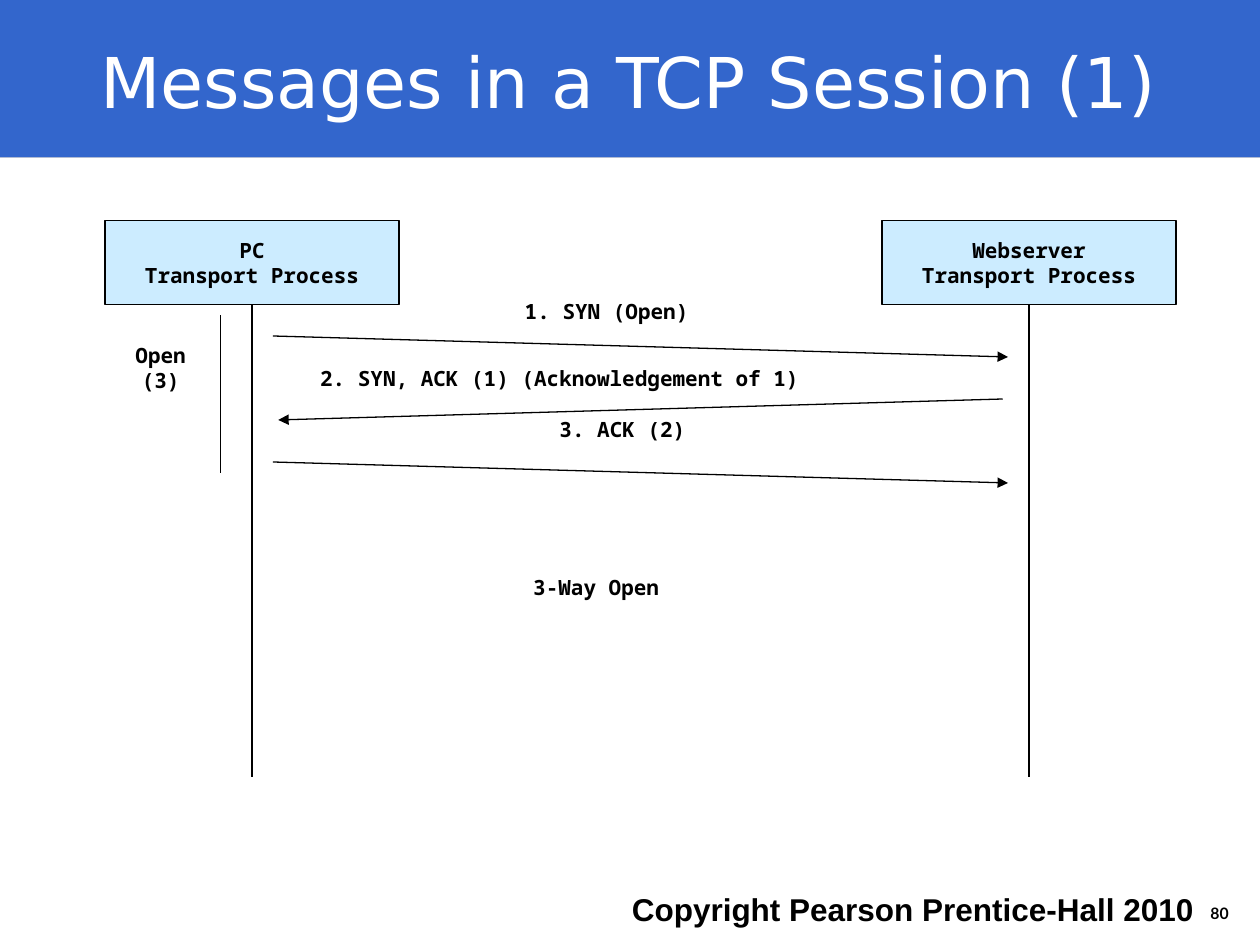
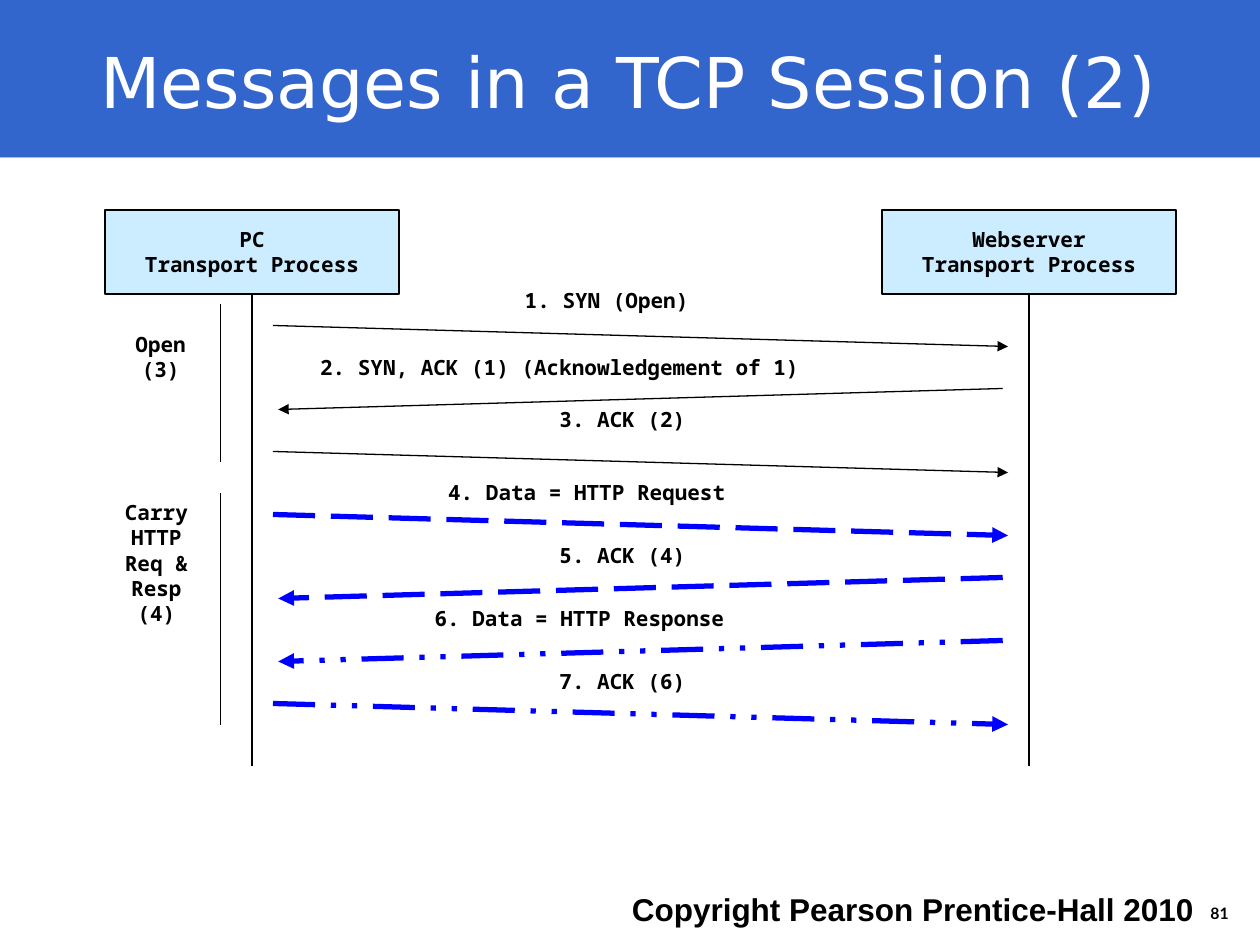
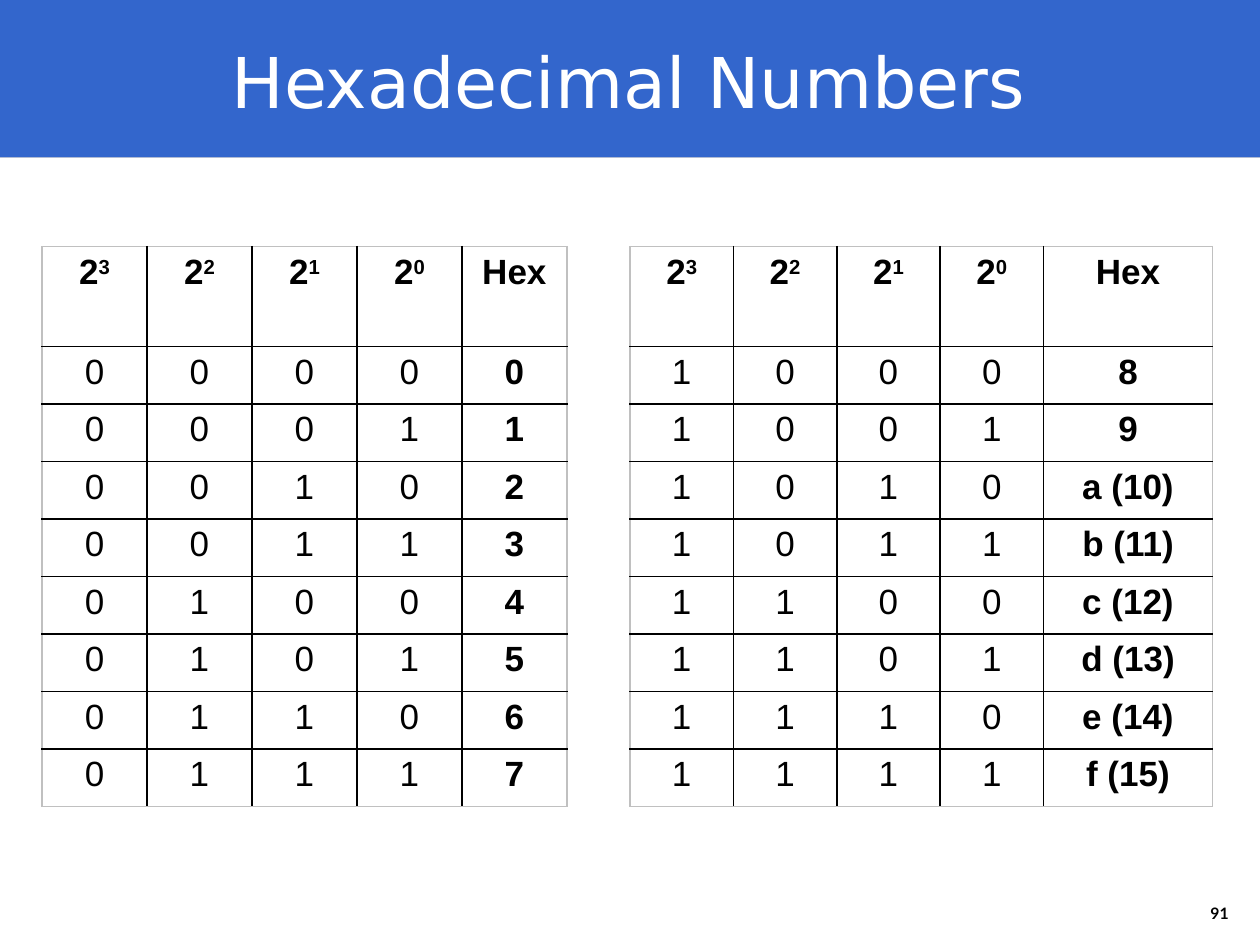
import dataclasses

import lxml.etree
import pptx
import pptx.dml.color
import pptx.enum.dml
import pptx.enum.shapes
import pptx.enum.text
import pptx.oxml.ns
import pptx.util

ALIGN = pptx.enum.text.PP_ALIGN
ANCHOR = pptx.enum.text.MSO_ANCHOR
DASH = pptx.enum.dml.MSO_LINE
RECT = pptx.enum.shapes.MSO_SHAPE.RECTANGLE
STRAIGHT = pptx.enum.shapes.MSO_CONNECTOR.STRAIGHT

COLS, ROWS = 120, 90  # a square grid over the whole slide
LEFT, RIGHT = 24, 98  # columns of the two lifelines
STEP = 6  # rows from one message to the next


@dataclasses.dataclass(frozen=True)
class Face:
    font: str
    size: float
    color: str = "000000"
    bold: bool = False


@dataclasses.dataclass(frozen=True)
class Theme:
    back: str = "B2B2B2"
    band: str = "3366CC"
    page: str = "FFFFFF"
    box: str = "CCECFF"
    ink: str = "000000"
    data: str = "0000FF"
    edge: str = "C0C0C0"
    thin: float = 0.75
    rule: float = 1
    thick: float = 3
    title: Face = Face("DejaVu Sans", 40, "FFFFFF")
    label: Face = Face("Noto Sans Mono", 12, bold=True)
    cell: Face = Face("Arial", 20)
    head: Face = Face("Arial", 20, bold=True)
    foot: Face = Face("Arial", 18, bold=True)
    number: Face = Face("Lato", 9, bold=True)


THEME = Theme()


@dataclasses.dataclass(frozen=True)
class Message:
    """An arrow and its label; col, row and width place the label."""
    text: str
    col: float
    row: float
    width: float
    back: bool = False
    dash: object = None


OPENING = [
    Message("1. SYN (Open)", 48.8, 6.8, 24.2),
    Message("2. SYN, ACK (1) (Acknowledgement of 1)", 29.3, 13.2, 63.5, back=True),
    Message("3. ACK (2)", 52.1, 18.1, 18),
]
CARRY = [
    Message("4. Data = HTTP Request", 41.5, 25.1, 39, dash=DASH.LONG_DASH),
    Message("5. ACK (4)", 52.1, 31.1, 18, True, DASH.LONG_DASH),
    Message("6. Data = HTTP Response", 40.2, 37.1, 41.6, True, DASH.DASH_DOT_DOT),
    Message("7. ACK (6)", 52.1, 43.1, 18, dash=DASH.DASH_DOT_DOT),
]


def grid(*cells):
    """Lengths for grid cells, which are a twelfth of an inch."""
    return [pptx.util.Inches(10 * cell / COLS) for cell in cells]


def rgb(color):
    return pptx.dml.color.RGBColor.from_string(color)


def child(parent, tag, **attrs):
    return lxml.etree.SubElement(parent, pptx.oxml.ns.qn(tag), attrs)


def add_run(para, text, face, base=0):
    run = para.add_run()
    run.text = text
    font = run.font
    font.name, font.size, font.bold = face.font, pptx.util.Pt(face.size), face.bold
    font.color.rgb = rgb(face.color)
    if base:
        run._r.get_or_add_rPr().set("baseline", str(base))


def write(frame, lines, face, align=ALIGN.LEFT, anchor=ANCHOR.TOP):
    frame.word_wrap = True
    frame.auto_size = pptx.enum.text.MSO_AUTO_SIZE.NONE
    frame.vertical_anchor = anchor
    for index, line in enumerate(lines):
        para = frame.add_paragraph() if index else frame.paragraphs[0]
        para.alignment = align
        add_run(para, line, face)


def add_text(slide, place, lines, face, **style):
    write(slide.shapes.add_textbox(*grid(*place)).text_frame, lines, face, **style)


def add_rect(slide, place, fill):
    shape = slide.shapes.add_shape(RECT, *grid(*place))
    shape.shadow.inherit = False
    shape.fill.solid()
    shape.fill.fore_color.rgb = rgb(fill)
    shape.line.fill.background()
    return shape


def add_line(slide, start, end, color=THEME.ink, width=THEME.thin, dash=None, arrow=False):
    joint = slide.shapes.add_connector(STRAIGHT, *grid(*start, *end))
    joint.line.color.rgb = rgb(color)
    joint.line.width = pptx.util.Pt(width)
    if dash:
        joint.line.dash_style = dash
    if arrow:
        child(joint.line._get_or_add_ln(), "a:tailEnd", type="triangle")
    child(joint.element.spPr, "a:effectLst")


def set_master(deck, slide):
    """Draw the bands, then move them to the back of the master."""
    master = deck.slide_master
    master.background.fill.solid()
    master.background.fill.fore_color.rgb = rgb(THEME.back)
    bands = [((0, 0, COLS, 15), THEME.band), ((0, 15, COLS, ROWS - 15), THEME.page)]
    for index, (place, fill) in enumerate(bands):
        band = add_rect(slide, place, fill)
        band.element.nvSpPr.cNvPr.id = 100 + index
        master.shapes.element.insert(2 + index, band.element)


def add_slide(deck, title, number, credit=True):
    slide = deck.slides.add_slide(deck.slide_layouts[5])
    head = slide.shapes.title
    head.left, head.top, head.width, head.height = grid(4.1, 0.7, 111.5, 14)
    write(head.text_frame, [title], THEME.title, ALIGN.CENTER, ANCHOR.MIDDLE)
    add_text(slide, (104.8, 84.8, 13.4, 3.7), [number], THEME.number,
             align=ALIGN.RIGHT, anchor=ANCHOR.BOTTOM)
    if credit:
        add_text(slide, (59, 84.2, 57, 4.8), ["Copyright Pearson Prentice-Hall 2010"], THEME.foot)
    return slide


def add_host(slide, col, top, name):
    """A lifeline with its process box on top."""
    add_line(slide, (col, top + 3), (col, top + 53))
    box = add_rect(slide, (col - 14, top, 28, 8), THEME.box)
    box.line.color.rgb = rgb(THEME.ink)
    box.line.width = pptx.util.Pt(THEME.thin)
    write(box.text_frame, [name, "Transport Process"], THEME.label, ALIGN.CENTER, ANCHOR.MIDDLE)


def add_message(slide, row, top, item):
    ends = (RIGHT - 2.5, LEFT + 2.5) if item.back else (LEFT + 2, RIGHT - 2)
    color, width = (THEME.data, THEME.thick) if item.dash else (THEME.ink, THEME.thin)
    add_line(slide, (ends[0], row), (ends[1], row + 2), color, width, item.dash, arrow=True)
    add_text(slide, (item.col, top + item.row, item.width, 5.2), [item.text], THEME.label)


def add_phase(slide, start, end, place, lines):
    """A bar beside the left lifeline, with its caption."""
    add_line(slide, (LEFT - 3, start), (LEFT - 3, end))
    add_text(slide, place, lines, THEME.label, align=ALIGN.CENTER)


def add_session(slide, top, items):
    add_host(slide, LEFT, top, "PC")
    add_host(slide, RIGHT, top, "Webserver")
    for index, item in enumerate(items):
        add_message(slide, top + 11 + STEP * index, top, item)
    add_phase(slide, top + 9, top + 24, (10.2, top + 11, 10.2, 8.5), ["Open", "(3)"])


def set_borders(cell, outer):
    """Rule a cell; sides named in outer lie on the table's rim."""
    props = cell._tc.get_or_add_tcPr()
    for side in "LRTB":
        line = child(props, "a:ln" + side, w=str(pptx.util.Pt(THEME.rule)))
        fill = child(line, "a:solidFill")
        child(fill, "a:srgbClr", val=THEME.edge if side in outer else THEME.ink)


def add_bits(slide, left, widths, first):
    """A table of eight numbers from first, in binary and in hex."""
    heights = [9.5] + [5.48] * 8
    count = len(widths)
    place = grid(left, 23.5, sum(widths), sum(heights))
    table = slide.shapes.add_table(len(heights), count, *place).table
    table.first_row = table.horz_banding = False
    for column, width in zip(table.columns, grid(*widths)):
        column.width = width
    for line, height in zip(table.rows, grid(*heights)):
        line.height = height

    for row in range(len(heights)):
        value = first + row - 1
        name = f"{value:x} ({value})" if value > 9 else str(value)
        texts = [*"2222", "Hex"] if row == 0 else [*f"{value:04b}", name]
        for col, text in enumerate(texts):
            cell = table.cell(row, col)
            rim = {"T": row == 0, "B": row == len(heights) - 1,
                   "L": col == 0, "R": col == count - 1}
            set_borders(cell, [side for side in rim if rim[side]])
            cell.fill.background()
            para = cell.text_frame.paragraphs[0]
            para.alignment = ALIGN.CENTER
            add_run(para, text, THEME.head if row == 0 or rim["R"] else THEME.cell)
            if row == 0 and not rim["R"]:
                add_run(para, str(3 - col), THEME.head, base=30000)


def main():
    deck = pptx.Presentation()
    deck.slide_width, deck.slide_height = grid(COLS, ROWS)

    slide = add_slide(deck, "Messages in a TCP Session (1)", "80")
    set_master(deck, slide)
    add_session(slide, 21, OPENING)
    add_text(slide, (49.6, 54.1, 21.1, 5.2), ["3-Way Open"], THEME.label)

    slide = add_slide(deck, "Messages in a TCP Session (2)", "81")
    add_session(slide, 20, OPENING + CARRY)
    add_phase(slide, 47, 69, (9.4, 47, 11, 19.4), ["Carry", "HTTP", "Req &", "Resp", "(4)"])

    slide = add_slide(deck, "Hexadecimal Numbers", "91", credit=False)
    add_bits(slide, 4, [10] * 5, 0)
    add_bits(slide, 60, [9.85] * 4 + [16.1], 8)

    deck.save("out.pptx")


if __name__ == "__main__":
    main()
